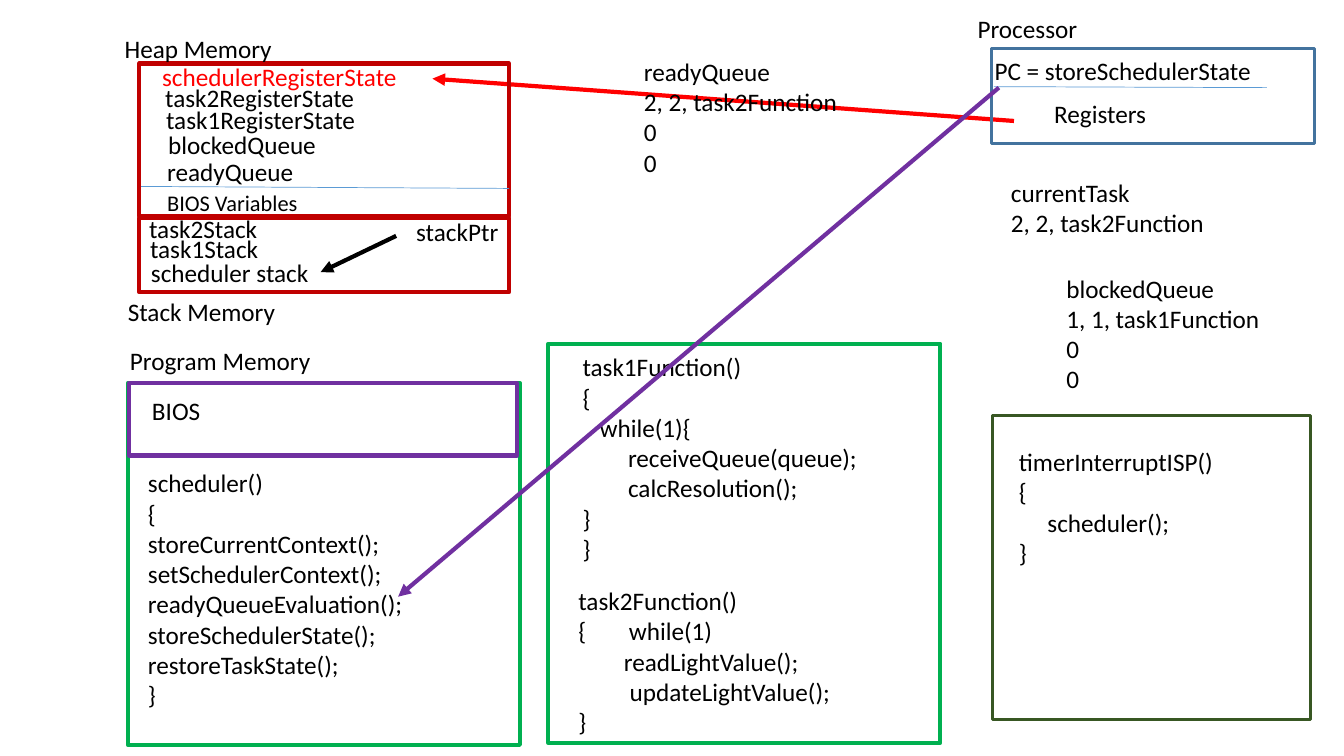
from pptx import Presentation
from pptx.dml.color import RGBColor
from pptx.enum.shapes import MSO_CONNECTOR as CONNECTOR, MSO_SHAPE as SHAPE
from pptx.oxml.ns import qn
from pptx.util import Pt
from lxml.etree import SubElement

BLACK, RED, DARK_RED = "000000", "FF0000", "C00000"
GREEN, DARK_GREEN, PURPLE = "00B050", "385723", "7030A0"
BLUE, LIGHT_BLUE = "43739E", "5B9BD5"

# left, top, width, height, colour, line weight
REGIONS = [
    (99.4, 45.4, 264.2, 108.7, DARK_RED, 3),     # heap
    (99.4, 155.5, 264.2, 53.3, DARK_RED, 3),     # stack
    (91.4, 273.6, 280, 258.5, GREEN, 3),         # program
    (92.2, 273.6, 277.2, 51.8, PURPLE, 3),       # BIOS
    (708.5, 34.6, 230.4, 67.7, BLUE, 2.25),      # processor
    (709.2, 296.6, 226.8, 217.4, DARK_GREEN, 2.25),  # interrupt
    (391.7, 245.5, 280, 285.1, GREEN, 3),        # tasks
]

# text, left, top, width
LABELS = [
    ("Heap Memory", 82, 20.2, 121),
    ("Stack Memory", 84.2, 208, 121),
    ("Program Memory", 85.7, 243.4, 145),
    ("BIOS", 101.5, 278.6, 50),
    ("Registers", 745.9, 67, 82),
    ("Processor", 691.2, 5.8, 87),
    ("scheduler stack", 100.8, 180, 128),
    ("readyQueue", 112.3, 108, 107),
    ("blockedQueue", 113, 88.6, 122),
    ("PC = storeSchedulerState", 703.4, 36, 200),
    ("task1Stack", 100.1, 163.4, 93),
    ("task2Stack", 99.4, 149, 93),
    ("task1RegisterState", 111.6, 71.3, 151),
    ("task2RegisterState", 110.9, 55.4, 151),
    ("stackPtr", 290.2, 151.2, 75),
]

# lines, left, top, width; an indented line is a (text, indent) pair
LISTINGS = [
    (["readyQueue", "2, 2, task2Function", "0", "0"], 452.9, 36.7, 155),
    (["blockedQueue", "1, 1, task1Function", "0", "0"], 754.6, 191.5, 155),
    (["currentTask", "2, 2, task2Function"], 715, 123.1, 155),
    (["timerInterruptISP()", "{", ("scheduler();", 20.4), "}"],
     720.7, 315.4, 156),
    (["scheduler()", "{", "storeCurrentContext();", "setSchedulerContext();",
      "readyQueueEvaluation();", "storeSchedulerState();",
      "restoreTaskState();", "}"], 98.6, 330.5, 200),
    (["task1Function()", "{", ("while(1){", 12.2),
      ("receiveQueue(queue);", 32.5), ("calcResolution();", 32.5), "}", "}"],
     409, 247.7, 220),
    (["task2Function()", "{\twhile(1)", ("readLightValue();", 32.5),
      ("updateLightValue();", 36.6), "}"], 406.1, 414.7, 205),
]
TAB_STOP = 17.8


def colour(code):
    """Turn a hex string into a colour."""
    return RGBColor.from_string(code)


def add_region(page, left, top, width, height, line_colour, weight):
    """Draw an unfilled memory or code frame."""
    box = page.shapes.add_shape(SHAPE.RECTANGLE, Pt(left), Pt(top),
                                Pt(width), Pt(height))
    box.shadow.inherit = False
    box.fill.background()
    box.line.color.rgb = colour(line_colour)
    box.line.width = Pt(weight)


def add_line(page, start, end, line_colour, weight=3, arrow=True):
    """Draw a straight line, with an arrowhead at its end if wanted."""
    line = page.shapes.add_connector(CONNECTOR.STRAIGHT, Pt(start[0]),
                                     Pt(start[1]), Pt(end[0]), Pt(end[1]))
    line.line.color.rgb = colour(line_colour)
    line.line.width = Pt(weight)
    if arrow:
        SubElement(line.line._get_or_add_ln(), qn("a:tailEnd"), type="triangle")
    SubElement(line._element.spPr, qn("a:effectLst"))


def indent_para(para, indent):
    """Set the left indent of a paragraph, and its tab stop if it has a tab."""
    props = para._p.get_or_add_pPr()
    props.set("marL", str(Pt(indent)))
    props.set("indent", "0")
    if "\t" in para.text:
        stops = SubElement(props, qn("a:tabLst"))
        SubElement(stops, qn("a:tab"), pos=str(Pt(TAB_STOP)), algn="l")


def add_text(page, lines, left, top, width, size=18, text_colour=BLACK):
    """Write one paragraph for each line."""
    height = 7.2 + 1.2 * size * len(lines)
    box = page.shapes.add_textbox(Pt(left), Pt(top), Pt(width), Pt(height))
    frame = box.text_frame
    frame.word_wrap = True
    for number, line in enumerate(lines):
        text, indent = (line, 0) if isinstance(line, str) else line
        para = frame.add_paragraph() if number else frame.paragraphs[0]
        span = para.add_run()
        span.text = text
        span.font.name = "Calibri"
        span.font.size = Pt(size)
        span.font.color.rgb = colour(text_colour)
        indent_para(para, indent)


def main():
    """Build the scheduler memory diagram."""
    deck = Presentation()
    deck.slide_width, deck.slide_height = Pt(960), Pt(540)
    page = deck.slides.add_slide(deck.slide_layouts[6])

    add_line(page, (724.3, 86.4), (308.9, 56.2), RED)
    for region in REGIONS:
        add_region(page, *region)
    add_line(page, (709.9, 61.9), (905, 62.6), LIGHT_BLUE, 0.5, arrow=False)
    add_line(page, (100.8, 133.2), (363.6, 134.6), LIGHT_BLUE, 0.5, arrow=False)

    for text, left, top, width in LABELS:
        add_text(page, [text], left, top, width)
    add_text(page, ["BIOS Variables"], 112.3, 131.8, 110, size=16)
    add_text(page, ["schedulerRegisterState"], 108.7, 40.3, 184,
             text_colour=RED)
    for listing in LISTINGS:
        add_text(page, *listing)

    add_line(page, (713.5, 62.6), (284.4, 426.2), PURPLE)
    add_line(page, (283, 168.5), (229, 194.4), BLACK)
    deck.save("out.pptx")


main()
